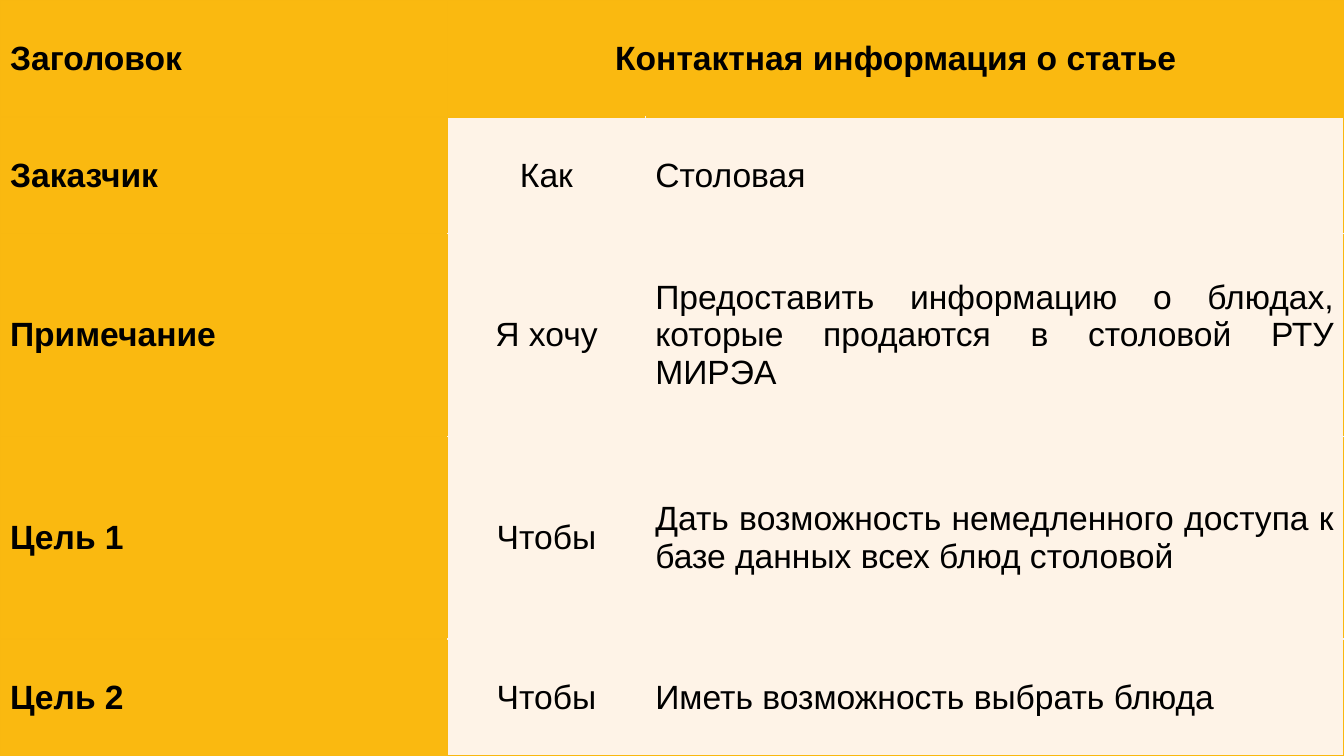
"""Build a slide with a full-page table of a user story."""
from lxml.etree import SubElement as Sub
from pptx import Presentation
from pptx.dml.color import RGBColor
from pptx.enum.text import MSO_ANCHOR as Anchor, PP_ALIGN as Align
from pptx.oxml.ns import qn
from pptx.util import Inches, Pt

GOLD, CREAM, BLACK = "FAB910", "FEF3E7", "000000"
EDGE = "F9B810"
WIDTHS = [4.44, 1.96, 6.93]
HEIGHTS = [1.16, 1.16, 2.01, 2.01, 1.16]
ALIGNS = [Align.LEFT, Align.CENTER, Align.JUSTIFY]
ROWS = [
    ("Заголовок", "Контактная информация о статье", ""),
    ("Заказчик", "Как", "Столовая"),
    ("Примечание", "Я хочу",
     "Предоставить информацию о блюдах, которые продаются в столовой РТУ МИРЭА"),
    ("Цель 1", "Чтобы",
     "Дать возможность немедленного доступа к базе данных всех блюд столовой"),
    ("Цель 2", "Чтобы", "Иметь возможность выбрать блюда"),
]


def paint(fill, tone):
    fill.solid()
    fill.fore_color.rgb = RGBColor.from_string(tone)


def border(cell, side, tone):
    line = Sub(cell._tc.get_or_add_tcPr(), qn(f"a:ln{side}"), w=str(Pt(1)))
    Sub(Sub(line, qn("a:solidFill")), qn("a:srgbClr"), val=tone)


deck = Presentation()
deck.slide_width, deck.slide_height = Inches(13.33), Inches(7.5)
slide = deck.slides.add_slide(deck.slide_layouts[6])
frame = slide.shapes.add_table(len(ROWS), len(WIDTHS), 0, 0, Inches(13.33), Inches(7.5))
table = frame.table
table.first_row = table.horz_banding = False
for col, width in zip(table.columns, WIDTHS):
    col.width = Inches(width)
for row, height in zip(table.rows, HEIGHTS):
    row.height = Inches(height)
table.cell(0, 1).merge(table.cell(0, 2))

last = len(ROWS) - 1
for r, texts in enumerate(ROWS):
    for c, text in enumerate(texts):
        cell = table.cell(r, c)
        head = r == 0 or c == 0
        inner = {
            "L": not head and c == 2,
            "R": not head and c == 1,
            "T": not head and r > 1,
            "B": not head and r < last,
        }
        for side, pale in inner.items():
            border(cell, side, CREAM if pale else EDGE)
        paint(cell.fill, GOLD if head else CREAM)
        cell.vertical_anchor = Anchor.MIDDLE
        if not text:
            continue
        cell.text = text
        para = cell.text_frame.paragraphs[0]
        para.alignment = ALIGNS[c]
        font = para.runs[0].font
        for key, value in {"name": "Arial", "size": Pt(24), "bold": head}.items():
            setattr(font, key, value)
        paint(font.fill, BLACK)

deck.save("out.pptx")
